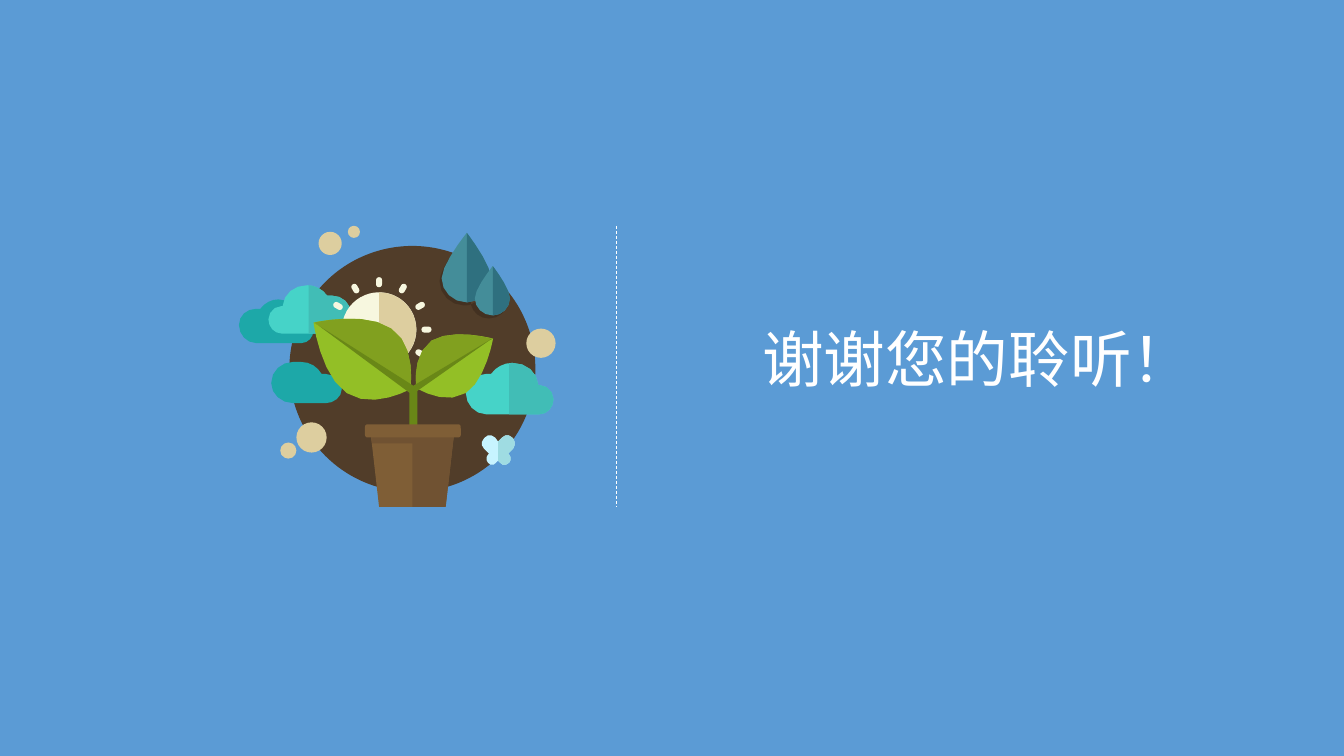
from dataclasses import dataclass
from math import cos, dist, pi, radians, sin

from lxml import etree
from pptx import Presentation
from pptx.dml.color import RGBColor
from pptx.enum import dml, shapes, text
from pptx.oxml.ns import qn
from pptx.util import Inches, Pt


@dataclass(frozen=True)
class Theme:
    font: str = "Noto Sans CJK JP"
    title_size: float = 44
    line_width: float = 0.5
    background: str = "5B9BD5"
    white: str = "FFFFFF"
    soil: str = "513D29"
    teal: str = "1DA8A8"
    cloud: str = "46D3C8"
    cloud_shade: str = "41BDB6"
    cream: str = "F7F7DF"
    sand: str = "DDCE9F"
    leaf: str = "93BF26"
    leaf_shade: str = "81A01F"
    stem: str = "698717"
    pot: str = "7F5E36"
    pot_shade: str = "705232"
    shadow: str = "433121"
    drop: str = "448D99"
    drop_shade: str = "2F707F"
    wing: str = "C7F4FF"
    wing_shade: str = "9FDCE2"


# Outlines: a pair is a corner, six numbers are a cubic curve
CLOUD = (".25,.11 .3,.04,.38,0,.46,0 .6,0,.71,.09,.72,.22 "
         ".73,.22 .81,.22,.87,.29,.87,.36 .87,.44,.81,.51,.73,.51 .2,.51 "
         ".09,.51,0,.41,0,.3 0,.19,.09,.11,.2,.11")
SMALL_CLOUD = ("2.91,3.59 2.98,3.59 3.08,3.59,3.15,3.64,3.19,3.71 3.23,3.71 "
               "3.31,3.71,3.39,3.78,3.39,3.86 3.39,3.94,3.31,4,3.23,4 2.91,4 "
               "2.79,4,2.69,3.91,2.69,3.8 2.69,3.68,2.79,3.59,2.91,3.59")
DROP = (".49,.45 .49,.58,.38,.69,.25,.69 .11,.69,0,.58,0,.45 "
        "0,.31,.25,0,.25,0 .25,0,.49,.31,.49,.45")
BUTTERFLY = ("5.09,4.35 5.08,4.34 5.05,4.31,5.01,4.31,4.98,4.34 4.94,4.38 4.91,4.34 "
             "4.88,4.31,4.83,4.31,4.81,4.34 4.8,4.35 4.77,4.38,4.77,4.42,4.8,4.45 "
             "4.85,4.5 4.84,4.51 4.82,4.53,4.82,4.57,4.84,4.59 "
             "4.86,4.62,4.9,4.62,4.92,4.59 4.94,4.57 4.96,4.59 "
             "4.98,4.62,5.02,4.62,5.05,4.59 5.07,4.57,5.07,4.53,5.05,4.51 "
             "5.04,4.5 5.09,4.45 5.11,4.42,5.11,4.38,5.09,4.35")
POT = "4.42,5.03 3.76,5.03 3.68,4.33 4.5,4.33"
POT_BAND = "4.49,4.4 4.5,4.33 3.68,4.33 3.69,4.4"
LEAVES = (
    ("3.11,3.2 3.11,3.2,3.18,3.73,3.44,3.9 3.7,4.07,4.07,3.86,4.07,3.86 "
     "4.07,3.86,4.14,3.43,3.88,3.26 3.63,3.08,3.11,3.2,3.11,3.2", "leaf"),
    ("3.12,3.2 4.07,3.86 4.07,3.82,4.13,3.42,3.88,3.26 3.64,3.09,3.16,3.19,3.12,3.2",
     "leaf_shade"),
    ("4.12,3.84 3.16,3.23 3.11,3.2 3.16,3.23 4.12,3.94", "stem"),
    ("4.89,3.36 4.89,3.36,4.82,3.77,4.62,3.9 4.41,4.03,4.13,3.85,4.13,3.85 "
     "4.13,3.85,4.08,3.52,4.28,3.38 4.49,3.25,4.89,3.36,4.89,3.36", "leaf"),
    ("4.88,3.36 4.13,3.85 4.12,3.82,4.09,3.51,4.28,3.38 4.48,3.26,4.85,3.35,4.88,3.36",
     "leaf_shade"),
    ("4.86,3.37 4.88,3.36 4.08,3.84 4.08,3.92 4.85,3.38 4.89,3.36", "stem"),
)
DROP_SHADOWS = (
    "4.82,2.68 4.82,2.7 4.83,2.73,4.84,2.76,4.84,2.79 4.84,2.9,4.77,2.99,4.67,3.02 "
    "4.69,3.1,4.76,3.16,4.85,3.16 4.95,3.16,5.03,3.09,5.03,2.99 "
    "5.03,2.94,4.98,2.85,4.93,2.77",
    "4.49,2.51 4.43,2.6,4.36,2.72,4.36,2.79 4.36,2.92,4.47,3.03,4.6,3.03 "
    "4.63,3.03,4.65,3.03,4.67,3.02 4.67,2.99 4.67,2.91,4.77,2.77,4.82,2.7 "
    "4.81,2.67 4.71,2.6,4.6,2.55,4.49,2.51",
)


def trace(outline, left=0, top=0, scale=1, mirror=False):
    """Turn an outline into points; mirror counts x leftwards from left."""
    points = []
    for segment in outline.split():
        numbers = [float(number) for number in segment.split(",")]
        pairs = list(zip(numbers[::2], numbers[1::2]))
        if len(pairs) == 1:
            points += pairs
            continue
        corners = [points[-1]] + pairs
        steps = 3 + int(5 * dist(corners[0], corners[3]))  # longer curves get more points
        for step in range(1, steps + 1):
            t = step / steps
            weights = ((1 - t) ** 3, 3 * t * (1 - t) ** 2, 3 * t * t * (1 - t), t ** 3)
            points.append(tuple(sum(weight * corner[axis] for weight, corner
                                    in zip(weights, corners)) for axis in (0, 1)))
    across = -scale if mirror else scale
    return [(left + across * x, top + scale * y) for x, y in points]


def right_half(points, middle):
    """Keep what lies right of the middle, with its edge on the middle."""
    neighbours = zip(points[-1:] + points, points, points[1:] + points[:1])
    return [(max(here[0], middle), here[1]) for before, here, after in neighbours
            if max(before[0], here[0], after[0]) > middle + 0.001]


class Painter:
    def __init__(self, page, theme):
        self.page, self.theme = page, theme
        self.art = page.shapes.add_group_shape().shapes

    def color(self, name):
        return RGBColor.from_string(getattr(self.theme, name))

    def paint(self, shape, fill):
        shape.shadow.inherit = False
        shape.fill.solid()
        shape.fill.fore_color.rgb = self.color(fill)
        shape.line.fill.background()
        return shape

    def background(self, fill):
        self.page.background.fill.solid()
        self.page.background.fill.fore_color.rgb = self.color(fill)

    def preset(self, kind, left, top, width, height, fill):
        box = [Inches(length) for length in (left, top, width, height)]
        return self.paint(self.art.add_shape(kind, *box), fill)

    def disc(self, left, top, size, fill):
        self.preset(shapes.MSO_SHAPE.OVAL, left, top, size, size, fill)

    def pill(self, left, top, width, height, fill, rounding=0.5):
        shape = self.preset(shapes.MSO_SHAPE.ROUNDED_RECTANGLE, left, top, width, height, fill)
        shape.adjustments[0] = rounding
        return shape

    def polygon(self, points, fill):
        points = [(Inches(x), Inches(y)) for x, y in points]
        builder = self.art.build_freeform(*points[0])
        builder.add_line_segments(points[1:], close=True)
        self.paint(builder.convert_to_shape(), fill)

    def two_tone(self, points, middle, fill, shade):
        self.polygon(points, fill)
        self.polygon(right_half(points, middle), shade)

    def divider(self, x, top, bottom):
        line = self.page.shapes.add_connector(
            shapes.MSO_CONNECTOR.STRAIGHT, Inches(x), Inches(top), Inches(x), Inches(bottom))
        line.line.color.rgb = self.color("white")
        line.line.width = Pt(self.theme.line_width)
        line.line.dash_style = dml.MSO_LINE.DASH
        etree.SubElement(line._element.spPr, qn("a:effectLst"))

    def title(self, words, left, top, width, height):
        box = self.page.shapes.title
        box.left, box.top, box.width, box.height = map(Inches, (left, top, width, height))
        frame = box.text_frame
        frame.text = words
        frame.word_wrap = True
        frame.auto_size = text.MSO_AUTO_SIZE.SHAPE_TO_FIT_TEXT
        frame.vertical_anchor = text.MSO_ANCHOR.MIDDLE
        frame.margin_left = frame.margin_right = frame.margin_top = frame.margin_bottom = 0
        para = frame.paragraphs[0]
        para.alignment = text.PP_ALIGN.RIGHT
        font = para.runs[0].font
        font.name, font.size = self.theme.font, Pt(self.theme.title_size)
        font.color.rgb = self.color("white")
        etree.SubElement(font._element, qn("a:ea"), typeface=self.theme.font)


def main():
    deck = Presentation()
    deck.slide_width, deck.slide_height = Inches(13.33), Inches(7.5)
    painter = Painter(deck.slides.add_slide(deck.slide_layouts[5]), Theme())
    painter.background("background")

    # Soil disc and clouds
    painter.disc(2.87, 2.44, 2.44, "soil")
    painter.polygon(trace(CLOUD, 2.37, 2.97, 0.85), "teal")
    painter.two_tone(trace(CLOUD, 3.48, 2.83, 0.94, mirror=True), 3.06, "cloud", "cloud_shade")
    painter.two_tone(trace(CLOUD, 4.62, 3.6), 5.05, "cloud", "cloud_shade")
    painter.polygon(trace(SMALL_CLOUD), "teal")

    # Sun with a ray every 30 degrees above the leaves
    sun_x, sun_y, radius, reach = 3.76, 3.27, 0.37, 0.47
    painter.disc(sun_x - radius, sun_y - radius, 2 * radius, "cream")
    painter.polygon([(sun_x + radius * sin(step * pi / 16), sun_y - radius * cos(step * pi / 16))
                     for step in range(17)], "sand")
    for angle in range(-60, 150, 30):
        x, y = sun_x + reach * sin(radians(angle)), sun_y - reach * cos(radians(angle))
        painter.pill(x - 0.03, y - 0.05, 0.06, 0.1, "cream").rotation = angle % 360

    # Plant and pot
    for outline, fill in LEAVES:
        painter.polygon(trace(outline), fill)
    painter.pill(4.06, 3.86, 0.08, 0.76, "stem", 0.3)
    painter.two_tone(trace(POT), 4.09, "pot", "pot_shade")
    painter.polygon(trace(POT_BAND), "pot_shade")
    painter.pill(3.62, 4.21, 0.95, 0.13, "pot", 0.18)

    # Raindrops
    for outline in DROP_SHADOWS:
        painter.polygon(trace(outline), "shadow")
    for left, top, scale in ((4.38, 2.31, 1), (4.71, 2.64, 0.71)):
        painter.two_tone(trace(DROP, left, top, scale), left + 0.25 * scale, "drop", "drop_shade")

    # Sand dots and butterfly
    for left, top, size in ((2.94, 4.19, 0.3), (3.16, 2.3, 0.23), (5.22, 3.26, 0.29),
                            (3.45, 2.24, 0.12), (2.78, 4.39, 0.16)):
        painter.disc(left, top, size, "sand")
    painter.two_tone(trace(BUTTERFLY), 4.94, "wing", "wing_shade")

    # Divider and closing words
    painter.divider(6.11, 2.24, 5.03)
    painter.title("谢谢您的聆听！", 6.33, 3.18, 5.51, 0.74)
    deck.save("out.pptx")


if __name__ == "__main__":
    main()
